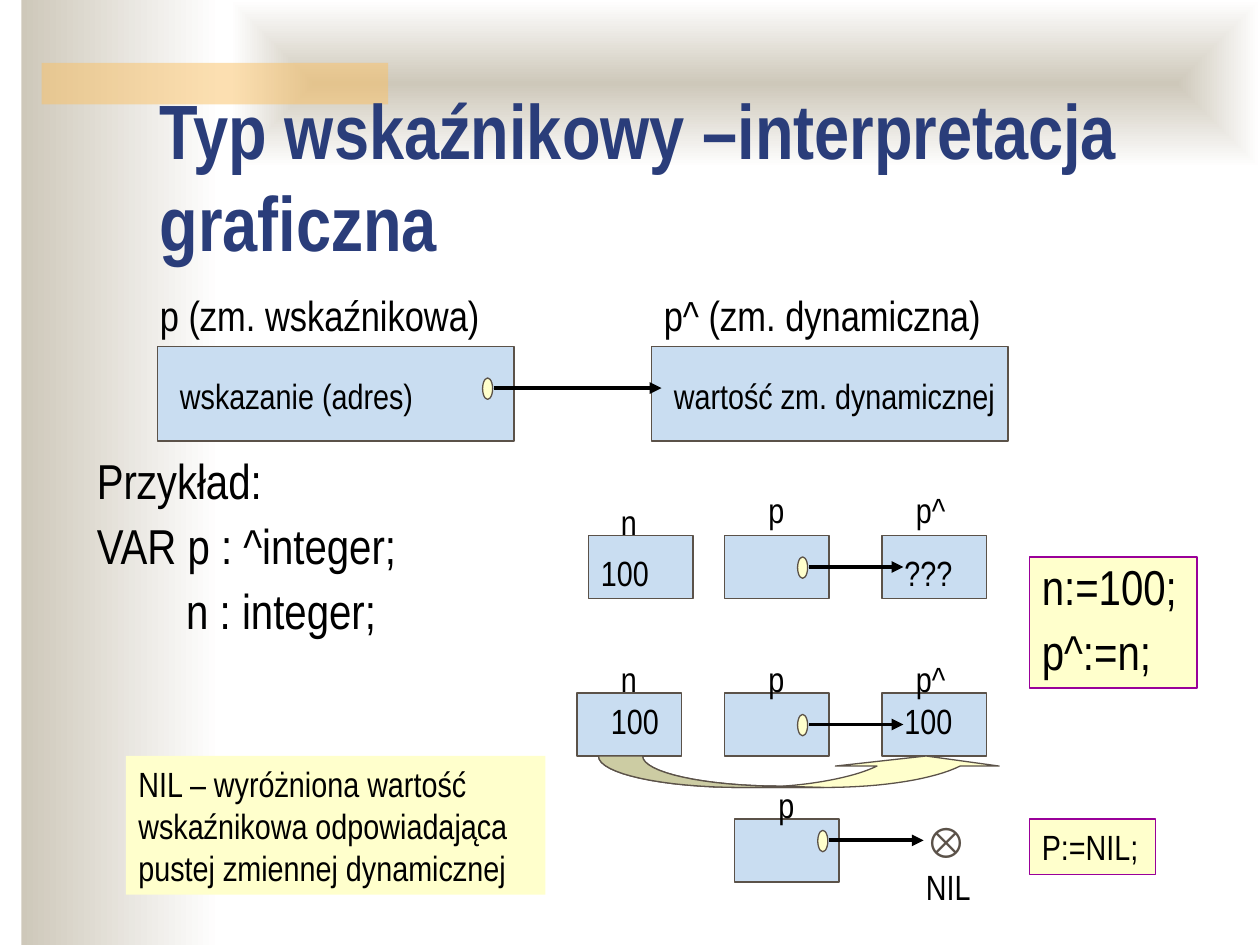
from lxml import etree
from pptx import Presentation
from pptx.dml.color import RGBColor
from pptx.enum.shapes import MSO_CONNECTOR, MSO_SHAPE
from pptx.enum.text import MSO_ANCHOR, PP_ALIGN
from pptx.oxml import parse_xml
from pptx.oxml.ns import nsdecls, qn
from pptx.util import Inches, Pt

RECT, OVAL = MSO_SHAPE.RECTANGLE, MSO_SHAPE.OVAL
STRAIGHT = MSO_CONNECTOR.STRAIGHT
TOP, BOTTOM, LEFT = MSO_ANCHOR.TOP, MSO_ANCHOR.BOTTOM, PP_ALIGN.LEFT

COLORS = {
    "sand": "CEC8BA", "white": "FFFFFF", "orange": "FAC164", "navy": "2A3D7A",
    "black": "000000", "blue": "C9DDF1", "brown": "5B5249", "yellow": "FFFFCC",
    "olive": "CCCCA3", "purple": "990099",
}
RGB = {name: RGBColor.from_string(code) for name, code in COLORS.items()}

prs = Presentation()
prs.slide_width, prs.slide_height = Inches(10), Inches(7.5)
shapes = prs.slides.add_slide(prs.slide_layouts[6]).shapes


def add_figure(box, fill, line=None, kind=RECT):
    figure = shapes.add_shape(kind, *map(Inches, box))
    figure.shadow.inherit = False
    figure.fill.solid()
    figure.fill.fore_color.rgb = RGB[fill]
    if line:
        figure.line.color.rgb = RGB[line]
        figure.line.width = Pt(0.75)
    else:
        figure.line.fill.background()
    return figure


def write(box, lines, size=20, before=12.5, spacing=None, color="black", bold=False, holder=None):
    """Put lines of text into holder, or into a new text box at box."""
    holder = holder or shapes.add_textbox(*map(Inches, box))
    frame = holder.text_frame
    frame.word_wrap = True
    frame.vertical_anchor = TOP
    frame.text = "\n".join(lines)
    for paragraph in frame.paragraphs:
        paragraph.alignment = LEFT
        paragraph.space_before = Pt(before)
        paragraph.line_spacing = spacing
        paragraph.font.name = "Arial Narrow"
        paragraph.font.size = Pt(size)
        paragraph.font.bold = bold
        paragraph.font.color.rgb = RGB[color]
    return frame


# Background bands
side_band = add_figure((0.17, 0, 1.58, 7.5), "sand")
top_band = add_figure((1.83, 0, 8.17, 1.33), "sand")
for band in (side_band, top_band):
    band.fill.gradient()
    band.fill.gradient_angle = 0
    for stop, name, position in zip(band.fill.gradient_stops, ("sand", "white"), (0, 1)):
        stop.color.rgb = RGB[name]
        stop.position = position
gradient = top_band._element.spPr.find(qn("a:gradFill"))
gradient.replace(gradient.find(qn("a:lin")), parse_xml(
    f'<a:path {nsdecls("a")} path="rect">'
    '<a:fillToRect l="50000" t="50000" r="50000" b="50000"/></a:path>'))
accent = add_figure((0.33, 0.5, 2.75, 0.33), "orange")
accent_color = accent._element.spPr.find(qn("a:solidFill"))[0]
etree.SubElement(accent_color, qn("a:alpha")).set("val", "50000")

# Title, headings and declaration
title = write((1.17, 0.92, 8.5, 1.25), ["Typ wskaźnikowy –interpretacja graficzna"],
              44, 0, color="navy", bold=True)
title.vertical_anchor = BOTTOM
write((1.17, 2.25, 3.58, 0.53), ["p (zm. wskaźnikowa)"], 24, 6)
write((5.17, 2.25, 2.92, 0.5), ["p^ (zm. dynamiczna)"], 24, 6)
declaration = write((0.67, 3.58, 3.67, 1.56),
                    ["Przykład:", "VAR p : ^integer;", "n : integer;"], 28, 7, 0.9)
declaration.paragraphs[2]._p.get_or_add_pPr().set("marL", str(Inches(0.71)))

# Memory cells
for left in (1.25, 5.17):
    add_figure((left, 2.75, 2.83, 0.75), "blue", "brown")
for left, top in ((4.67, 4.25), (5.75, 4.25), (7, 4.25),
                  (4.58, 5.5), (5.75, 5.5), (7, 5.5), (5.83, 6.5)):
    add_figure((left, top, 0.83, 0.5), "blue", "brown")

# Pointers: start, end and height
for start, end, y in ((3.92, 5.25, 3.08), (6.42, 7.17, 4.5),
                      (6.42, 7.17, 5.75), (6.58, 7.33, 6.67)):
    pointer = shapes.add_connector(STRAIGHT, Inches(start), Inches(y), Inches(end), Inches(y))
    pointer.line.color.rgb = RGB["black"]
    pointer.line.width = Pt(2.25)
    etree.SubElement(pointer.line._get_or_add_ln(), qn("a:tailEnd")).set("type", "triangle")
    etree.SubElement(pointer._element.spPr, qn("a:effectLst"))
    add_figure((start - 0.09, y - 0.08, 0.08, 0.17), "yellow", "brown", OVAL)

# Values and variable names
for text, left, top, width in (
        ("wskazanie (adres)", 1.33, 2.92, 2.58),
        ("wartość zm. dynamicznej", 5.25, 2.92, 2.83),
        ("100", 4.67, 4.33, 0.58), ("???", 7.08, 4.33, 0.58),
        ("100", 4.75, 5.5, 0.58), ("100", 7.08, 5.5, 0.58),
        ("n", 4.83, 3.92, 0.33), ("p", 6, 3.83, 0.33), ("p^", 7.17, 3.83, 0.58),
        ("n", 4.83, 5.17, 0.33), ("p", 6, 5.17, 0.33), ("p^", 7.17, 5.17, 0.58),
        ("p", 6.08, 6.17, 0.33)):
    write((left, top, width, 0.44), [text])

# Curved copy arrow: each step is a line end or three Bezier points
tail_inner = ((5.59, 6.24), (5.1, 6.13), (5.1, 6))
tail_outer = ((4.75, 6.14), (5.26, 6.25), (5.89, 6.25))
head_steps = [tail_outer, [(6.54, 6.25)], ((7.02, 6.25), (7.42, 6.18), (7.62, 6.08)),
              [(7.93, 6.08)], [(7.35, 6)], [(6.63, 6.08)], [(6.96, 6.08)],
              ((6.8, 6.16), (6.5, 6.22), (6.21, 6.24)), tail_inner]
tail_steps = [tail_outer, [(6.54, 6.25)], [(6.21, 6.24)], tail_inner]
for steps, fill in ((head_steps, "yellow"), (tail_steps, "olive")):
    points = [(4.75, 6)]
    for step in steps:
        if len(step) == 1:
            points += step
            continue
        controls = (points[-1], *step)
        for t in (i / 16 for i in range(1, 17)):
            weights = ((1 - t) ** 3, 3 * t * (1 - t) ** 2, 3 * t * t * (1 - t), t ** 3)
            points.append(tuple(sum(w * c[axis] for w, c in zip(weights, controls))
                                for axis in (0, 1)))
    outline = [(Inches(x), Inches(y)) for x, y in points]
    builder = shapes.build_freeform(*outline[0], scale=1.0)
    builder.add_line_segments(outline[1:], close=True)
    arrow_part = builder.convert_to_shape()
    arrow_part.shadow.inherit = False
    arrow_part.fill.solid()
    arrow_part.fill.fore_color.rgb = RGB[fill]
    arrow_part.line.color.rgb = RGB["brown"]
    arrow_part.line.width = Pt(0.75)

# Yellow notes
for box, line, lines, size, before, spacing in (
        ((8.17, 4.42, 1.33, 1.04), "purple", ["n:=100;", "p^:=n;"], 28, 7, 0.9),
        ((1, 6, 3.33, 1.1), None,
         ["NIL – wyróżniona wartość wskaźnikowa odpowiadająca pustej zmiennej dynamicznej"],
         20, 12.5, None),
        ((8.17, 6.5, 1, 0.44), "purple", ["P:=NIL;"], 20, 12.5, None)):
    write(box, lines, size, before, spacing, holder=add_figure(box, "yellow", line))

# Empty pointer target
nil_target = write((7.25, 6.42, 0.67, 0.84), ["⊗", "NIL"], 20, 0)
symbol_font = nil_target.paragraphs[0].font
symbol_font.name, symbol_font.size, symbol_font.bold = "Arial", Pt(24), True
symbol_font.color.rgb = RGB["brown"]

prs.save("out.pptx")
